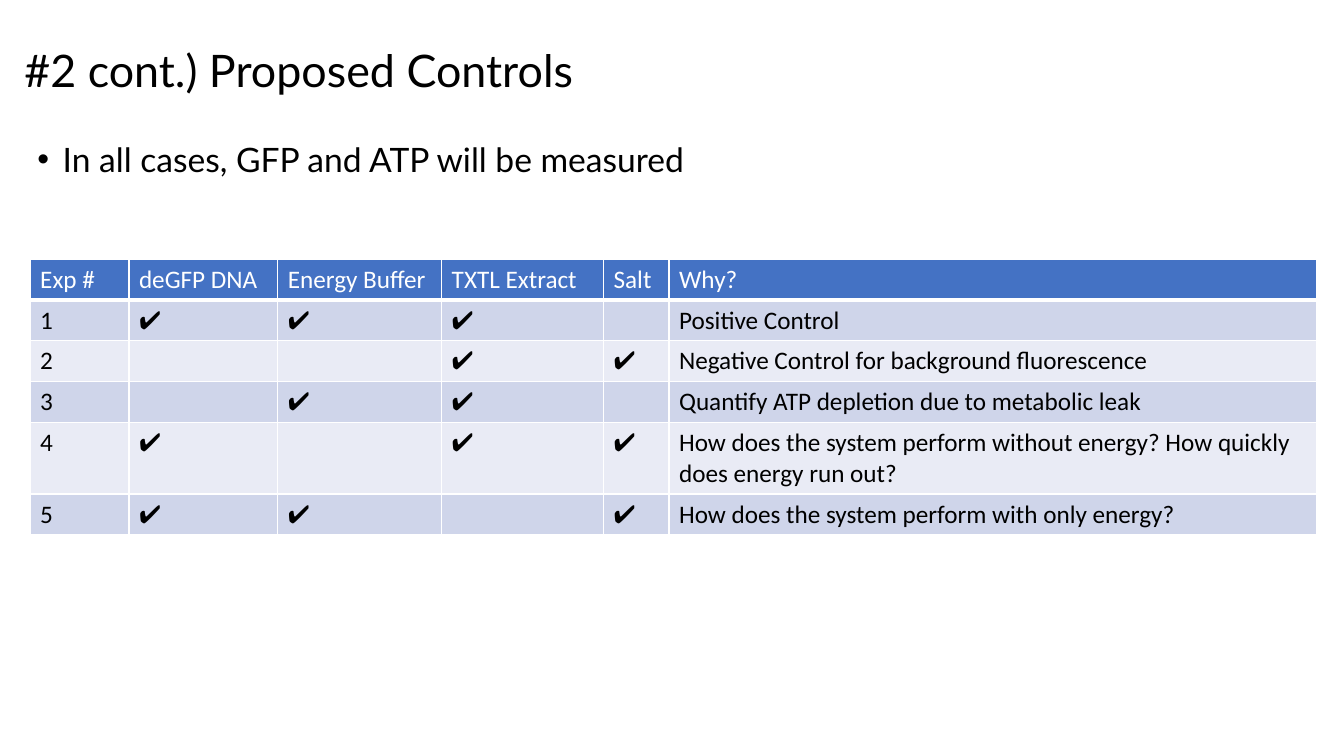
from dataclasses import dataclass

from lxml.etree import SubElement
from pptx import Presentation
from pptx.dml.color import RGBColor
from pptx.enum.text import MSO_ANCHOR, PP_ALIGN
from pptx.oxml.ns import qn
from pptx.util import Cm, Pt


@dataclass(frozen=True)
class Theme:
    text: str = "000000"
    white: str = "FFFFFF"
    header: str = "4472C4"
    bands: tuple[str, str] = ("CFD5EA", "E9EBF5")
    text_font: str = "Lato"
    table_font: str = "Calibri"
    title_size: int = 32
    body_size: int = 24
    table_size: int = 18


@dataclass(frozen=True)
class Experiment:
    ingredients: str  # names of the columns that get a check mark
    why: str
    height: float = 1.03


THEME = Theme()
CHECK = "✔️"
INGREDIENTS = ["deGFP DNA", "Energy Buffer", "TXTL Extract", "Salt"]
COLUMN_WIDTHS = [2.49, 3.75, 4.13, 4.08, 1.65, 16.33]
HEADER_HEIGHT = 1.03
EXPERIMENTS = [
    Experiment("deGFP DNA, Energy Buffer, TXTL Extract", "Positive Control"),
    Experiment("TXTL Extract, Salt", "Negative Control for background fluorescence"),
    Experiment("Energy Buffer, TXTL Extract", "Quantify ATP depletion due to metabolic leak"),
    Experiment("deGFP DNA, TXTL Extract, Salt",
               "How does the system perform without energy? How quickly does energy run out?", 1.8),
    Experiment("deGFP DNA, Energy Buffer, Salt", "How does the system perform with only energy?"),
]


def style_runs(p, font: str, size: int, color: str) -> None:
    for r in p.runs:
        r.font.name = font
        r.font.size = Pt(size)
        r.font.bold = False
        r.font.color.rgb = RGBColor.from_string(color)


def add_borders(cell, bottom: int = 1) -> None:
    tcPr = cell._tc.get_or_add_tcPr()
    for side, width in (("L", 1), ("R", 1), ("T", 1), ("B", bottom)):
        ln = SubElement(tcPr, qn(f"a:ln{side}"), w=str(Pt(width)))
        fill = SubElement(ln, qn("a:solidFill"))
        SubElement(fill, qn("a:srgbClr"), val=THEME.white)


def fill_row(row, texts: list[str], fill: str, color: str, bottom: int = 1) -> None:
    for cell, text in zip(row.cells, texts):
        add_borders(cell, bottom)
        cell.fill.solid()
        cell.fill.fore_color.rgb = RGBColor.from_string(fill)
        if text:
            cell.text = text
            style_runs(cell.text_frame.paragraphs[0], THEME.table_font, THEME.table_size, color)


def add_title(s, text: str) -> None:
    title = s.shapes.title
    title.left, title.top, title.width, title.height = Cm(0.36), Cm(0), Cm(29.21), Cm(3.68)
    tf = title.text_frame
    tf.text = text
    tf.vertical_anchor = MSO_ANCHOR.MIDDLE
    p = tf.paragraphs[0]
    p.alignment = PP_ALIGN.LEFT
    p.line_spacing = 0.9
    style_runs(p, THEME.text_font, THEME.title_size, THEME.text)


def add_bullet(s, text: str) -> None:
    tf = s.shapes.add_textbox(Cm(0.69), Cm(3.48), Cm(29.21), Cm(12.09)).text_frame
    tf.word_wrap = True
    tf.text = text
    p = tf.paragraphs[0]
    p.line_spacing = 0.9
    p.space_before = Pt(10)
    pPr = p._p.get_or_add_pPr()
    pPr.set("marL", str(Cm(0.64)))
    pPr.set("indent", str(-Cm(0.64)))
    SubElement(pPr, qn("a:buFont"), typeface="Arial")
    SubElement(pPr, qn("a:buChar"), char="•")
    style_runs(p, THEME.text_font, THEME.body_size, THEME.text)


def add_controls_table(s) -> None:
    heights = [HEADER_HEIGHT] + [e.height for e in EXPERIMENTS]
    table = s.shapes.add_table(len(heights), len(COLUMN_WIDTHS), Cm(0.76), Cm(6.53),
                               Cm(sum(COLUMN_WIDTHS)), Cm(sum(heights))).table
    for column, width in zip(table.columns, COLUMN_WIDTHS):
        column.width = Cm(width)
    for row, height in zip(table.rows, heights):
        row.height = Cm(height)

    fill_row(table.rows[0], ["Exp #", *INGREDIENTS, "Why?"], THEME.header, THEME.white, bottom=3)
    for i, experiment in enumerate(EXPERIMENTS):
        used = experiment.ingredients.split(", ")
        checks = [CHECK if name in used else "" for name in INGREDIENTS]
        fill_row(table.rows[i + 1], [str(i + 1), *checks, experiment.why],
                 THEME.bands[i % 2], THEME.text)


def main() -> None:
    prs = Presentation()
    prs.slide_width, prs.slide_height = Cm(33.87), Cm(19.05)
    s = prs.slides.add_slide(prs.slide_layouts[5])

    # Heading and statement
    add_title(s, "#2 cont.) Proposed Controls")
    add_bullet(s, "In all cases, GFP and ATP will be measured")

    # Table of experiments
    add_controls_table(s)
    prs.save("out.pptx")


if __name__ == "__main__":
    main()
